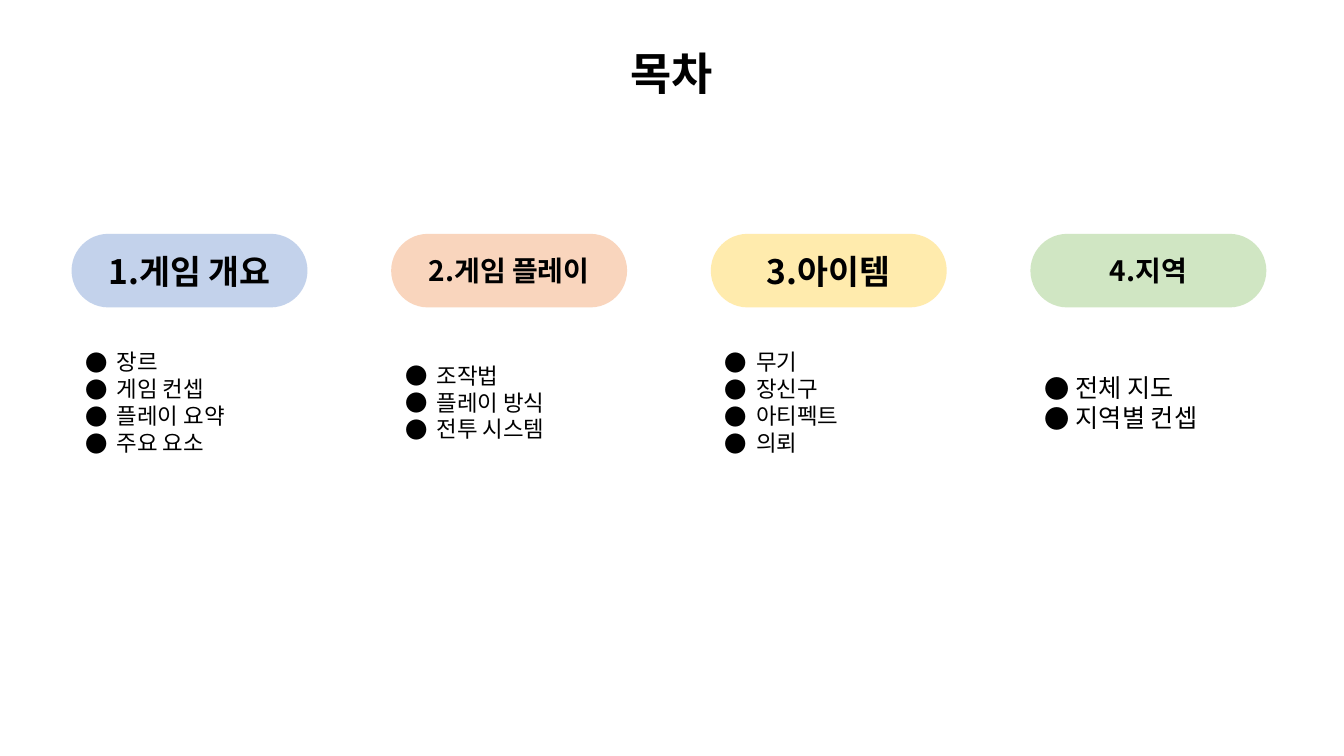
"""Build the table-of-contents slide with four section cards."""
from dataclasses import dataclass

from lxml import etree
from pptx import Presentation
from pptx.dml.color import RGBColor
from pptx.enum.shapes import MSO_SHAPE
from pptx.enum.text import MSO_ANCHOR, MSO_AUTO_SIZE, PP_ALIGN
from pptx.oxml.ns import qn
from pptx.util import Inches, Pt

ROUND = MSO_SHAPE.ROUNDED_RECTANGLE
MIDDLE = MSO_ANCHOR.MIDDLE
CENTER, LEFT = PP_ALIGN.CENTER, PP_ALIGN.LEFT
NO_FIT = MSO_AUTO_SIZE.NONE
FONT = "Noto Sans CJK KR"
WHITE, BLACK = "FFFFFF", "000000"
CARD_LEFT, CARD_STEP, CARD_TOP = 0.63, 3.17, 2.22
HEAD_INSET, HEAD_TOP = 0.08, 2.32


@dataclass
class Section:
    """One contents section: heading, colour, topics and text sizes."""
    heading: str
    color: str
    heading_size: int
    topics: list[str]
    topic_size: int = 16


SECTIONS = [
    Section("1.게임 개요", "B4C7E7", 24, ["장르", "게임 컨셉", "플레이 요약", "주요 요소"]),
    Section("2.게임 플레이", "F8CBAD", 20, ["조작법", "플레이 방식", "전투 시스템"]),
    Section("3.아이템", "FFE699", 24, ["무기", "장신구", "아티펙트", "의뢰"]),
    Section("4.지역", "C5E0B4", 20, ["전체 지도", "지역별 컨셉"], 18),
]


def rgb(color: str) -> RGBColor:
    """Turn a hex string into a colour."""
    return RGBColor.from_string(color)


def set_fill(sp, color: str, opacity: int) -> None:
    """Fill a shape with a partly transparent colour."""
    sp.fill.solid()
    sp.fill.fore_color.rgb = rgb(color)
    clr = sp.element.spPr.find(qn("a:solidFill"))[0]
    etree.SubElement(clr, qn("a:alpha"), val=str(opacity * 1000))


def add_round(shapes, left: float, top: float, width: float, height: float,
              color: str, opacity: int = 80, adj: float = 0.1667):
    """Add a borderless rounded rectangle."""
    sp = shapes.add_shape(ROUND, Inches(left), Inches(top), Inches(width), Inches(height))
    sp.adjustments[0] = adj
    sp.shadow.inherit = False
    sp.line.fill.background()
    set_fill(sp, color, opacity)
    return sp


def set_text(sp, lines: list[str], *, size: int, bold: bool = False,
             align=CENTER, bullet: str = "") -> None:
    """Write formatted paragraphs into a shape."""
    tf = sp.text_frame
    tf.word_wrap = True
    tf.auto_size = NO_FIT
    tf.vertical_anchor = MIDDLE
    for i, line in enumerate(lines):
        p = tf.add_paragraph() if i else tf.paragraphs[0]
        p.alignment = align
        if bullet:
            pPr = p._p.get_or_add_pPr()
            pPr.set("marL", str(Inches(0.31)))
            pPr.set("indent", str(-Inches(0.31)))
            etree.SubElement(pPr, qn("a:buFont"), typeface=FONT)
            etree.SubElement(pPr, qn("a:buChar"), char=bullet)
        r = p.add_run()
        r.text = line
        r.font.size = Pt(size)
        r.font.bold = bold
        r.font.color.rgb = rgb(BLACK)
        r.font.name = FONT
        etree.SubElement(r._r.get_or_add_rPr(), qn("a:ea"), typeface=FONT)


def add_section(s, section: Section, left: float) -> None:
    """Add a grouped card with its topics and coloured heading."""
    group = s.shapes.add_group_shape()
    card = add_round(group.shapes, left, CARD_TOP, 2.49, 3.54, WHITE)
    set_text(card, section.topics, size=section.topic_size, align=LEFT, bullet="●")
    head = add_round(group.shapes, left + HEAD_INSET, HEAD_TOP, 2.34, 0.73,
                     section.color, adj=0.5)
    set_text(head, [section.heading], size=section.heading_size, bold=True)


def main() -> None:
    """Build and save the slide."""
    prs = Presentation()
    prs.slide_width, prs.slide_height = Inches(13.33), Inches(7.5)
    s = prs.slides.add_slide(prs.slide_layouts[5])
    backdrop = add_round(s.shapes, 0.14, 0.14, 13.06, 7.22, WHITE, 60, 0.055)
    title = s.shapes.title
    title.left, title.top = Inches(0.24), Inches(0.28)
    title.width, title.height = Inches(12.85), Inches(0.89)
    set_fill(title, WHITE, 80)
    set_text(title, ["목차"], size=32, bold=True)
    backdrop.element.addnext(title.element)
    for i, section in enumerate(SECTIONS):
        add_section(s, section, CARD_LEFT + i * CARD_STEP)
    prs.save("out.pptx")


if __name__ == "__main__":
    main()
